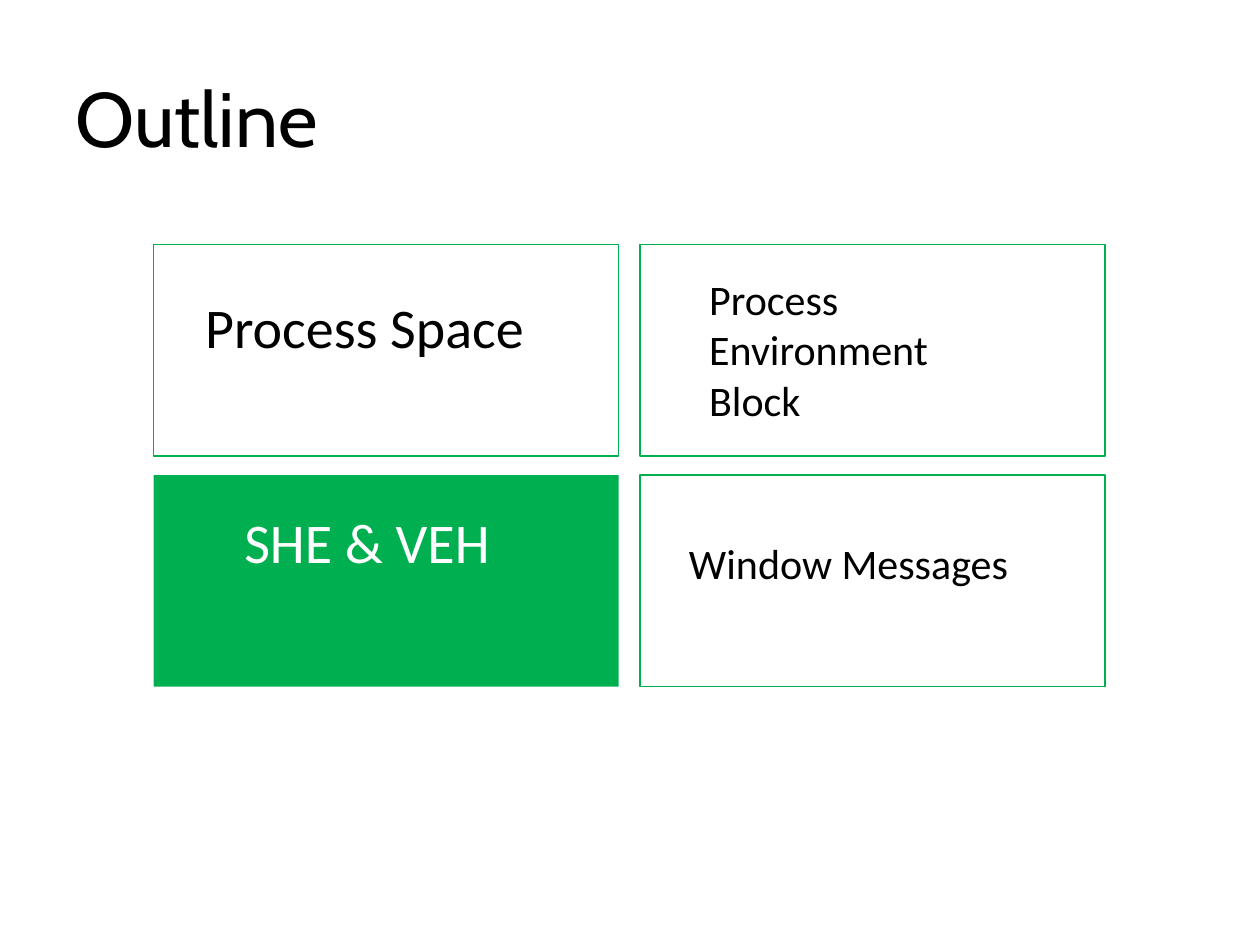
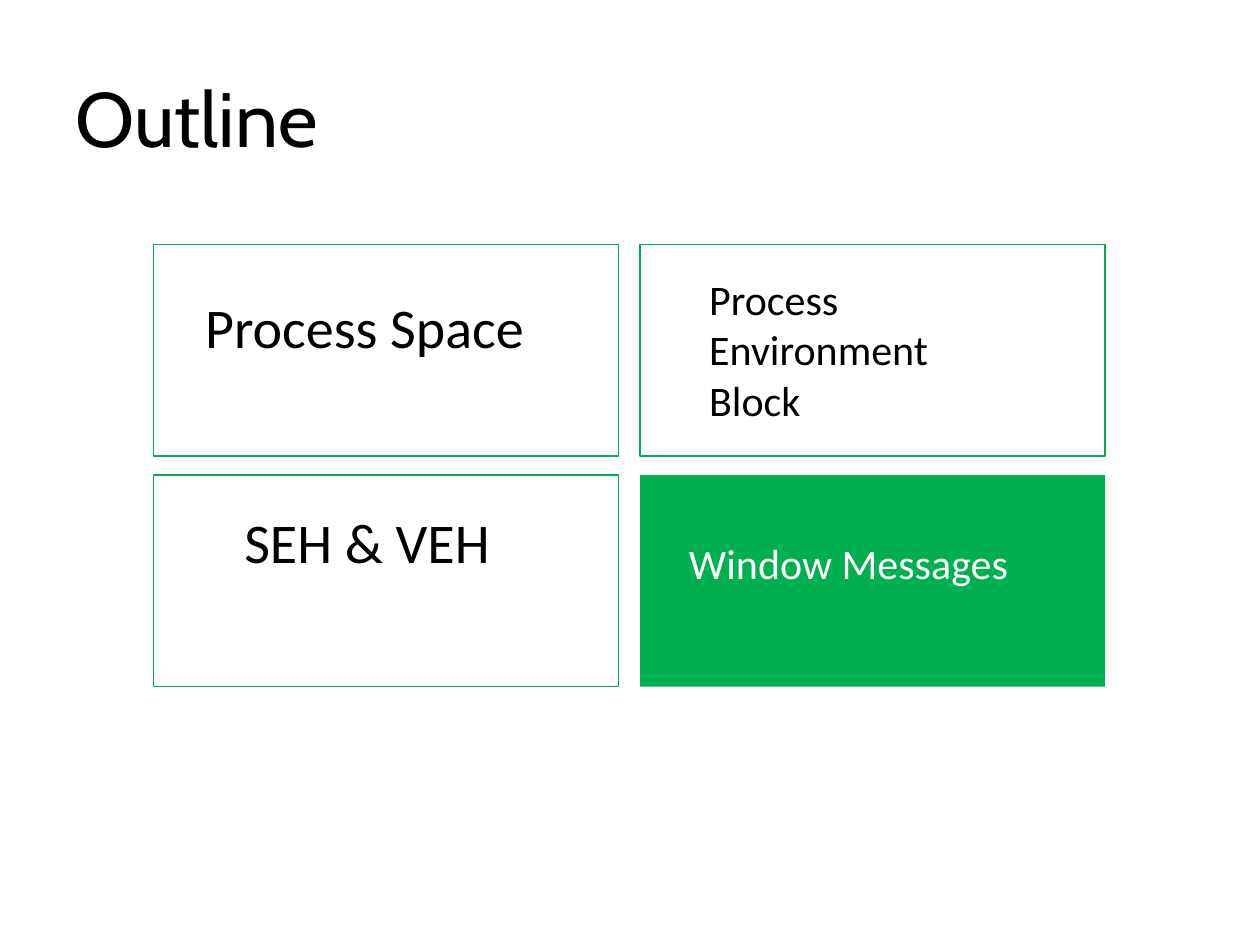
from dataclasses import dataclass

from pptx import Presentation
from pptx.dml.color import RGBColor
from pptx.enum.shapes import MSO_SHAPE
from pptx.enum.text import MSO_ANCHOR, MSO_AUTO_SIZE, PP_ALIGN
from pptx.util import Inches, Pt

RECTANGLE = MSO_SHAPE.RECTANGLE
TOP, MIDDLE = MSO_ANCHOR.TOP, MSO_ANCHOR.MIDDLE
LEFT = PP_ALIGN.LEFT
NO_AUTOFIT = MSO_AUTO_SIZE.NONE

COLORS = {"ink": "000000", "paper": "FFFFFF", "accent": "00B050"}
TITLE_FONT, BODY_FONT = "Cabin", "Calibri"
SLIDE_W, SLIDE_H = 10, 7.5
TITLE_ONLY = 5

# Topic grid: two columns by two rows
GRID_LEFT, GRID_TOP = 1.22, 1.94
CELL_W, CELL_H = 3.69, 1.68
GAP_X, GAP_Y = 0.17, 0.15
COLUMNS = 2


@dataclass
class Topic:
    """A topic and its label box, given relative to its grid cell."""
    lines: list
    dx: float
    dy: float
    width: float
    height: float
    size: int
    line_spacing: float = 1.0
    space_before: int = 0


def color(name):
    return RGBColor.from_string(COLORS[name])


def write(frame, lines, font=BODY_FONT, size=24, ink="ink", anchor=TOP,
          line_spacing=1.0, space_before=0):
    frame.word_wrap = True
    frame.auto_size = NO_AUTOFIT
    frame.vertical_anchor = anchor
    frame.margin_left = frame.margin_right = Inches(0.1)
    frame.margin_top = frame.margin_bottom = Inches(0.05)
    for i, line in enumerate(lines):
        paragraph = frame.add_paragraph() if i else frame.paragraphs[0]
        paragraph.alignment = LEFT
        paragraph.line_spacing = line_spacing
        paragraph.space_before = Pt(space_before)
        run = paragraph.add_run()
        run.text = line
        run.font.name = font
        run.font.size = Pt(size)
        run.font.color.rgb = color(ink)


def place_title(slide, text, left, top, width, height):
    title = slide.shapes.title
    title.left, title.top = Inches(left), Inches(top)
    title.width, title.height = Inches(width), Inches(height)
    write(title.text_frame, [text], font=TITLE_FONT, size=44, anchor=MIDDLE)


def draw_topic(slide, topic, left, top, width, height, current):
    # Cell: filled for the current topic, outlined otherwise
    cell = slide.shapes.add_shape(RECTANGLE, Inches(left), Inches(top),
                                  Inches(width), Inches(height))
    cell.shadow.inherit = False
    if current:
        cell.fill.solid()
        cell.fill.fore_color.rgb = color("accent")
        cell.line.fill.background()
    else:
        cell.fill.background()
        cell.line.color.rgb = color("accent")
        cell.line.width = Pt(0.74)

    # Label
    label = slide.shapes.add_textbox(
        Inches(left + topic.dx), Inches(top + topic.dy),
        Inches(topic.width), Inches(topic.height))
    write(label.text_frame, topic.lines, size=topic.size,
          ink="paper" if current else "ink",
          line_spacing=topic.line_spacing, space_before=topic.space_before)


def outline_slide(deck, topics, current):
    slide = deck.slides.add_slide(deck.slide_layouts[TITLE_ONLY])
    place_title(slide, "Outline", 0.05 * SLIDE_W, 0.04 * SLIDE_H,
                0.9 * SLIDE_W, SLIDE_H / 6)
    for i, topic in enumerate(topics):
        row, column = divmod(i, COLUMNS)
        draw_topic(slide, topic,
                   GRID_LEFT + column * (CELL_W + GAP_X),
                   GRID_TOP + row * (CELL_H + GAP_Y),
                   CELL_W, CELL_H, current=i == current)


def outline_topics(handlers):
    return [
        Topic(["Process Space"], 0.31, 0.39, 3.15, 1.06, 32, 0.9, 8),
        Topic(["Process", "Environment", "Block"], 0.45, 0.18, 2.3, 1.3, 24),
        Topic([handlers], 0.62, 0.21, 2.42, 0.64, 32),
        Topic(["Window Messages"], 0.29, 0.45, 3.1, 0.5, 24),
    ]


deck = Presentation()
deck.slide_width, deck.slide_height = Inches(SLIDE_W), Inches(SLIDE_H)
outline_slide(deck, outline_topics("SHE & VEH"), current=2)
outline_slide(deck, outline_topics("SEH & VEH"), current=3)
deck.save("out.pptx")
